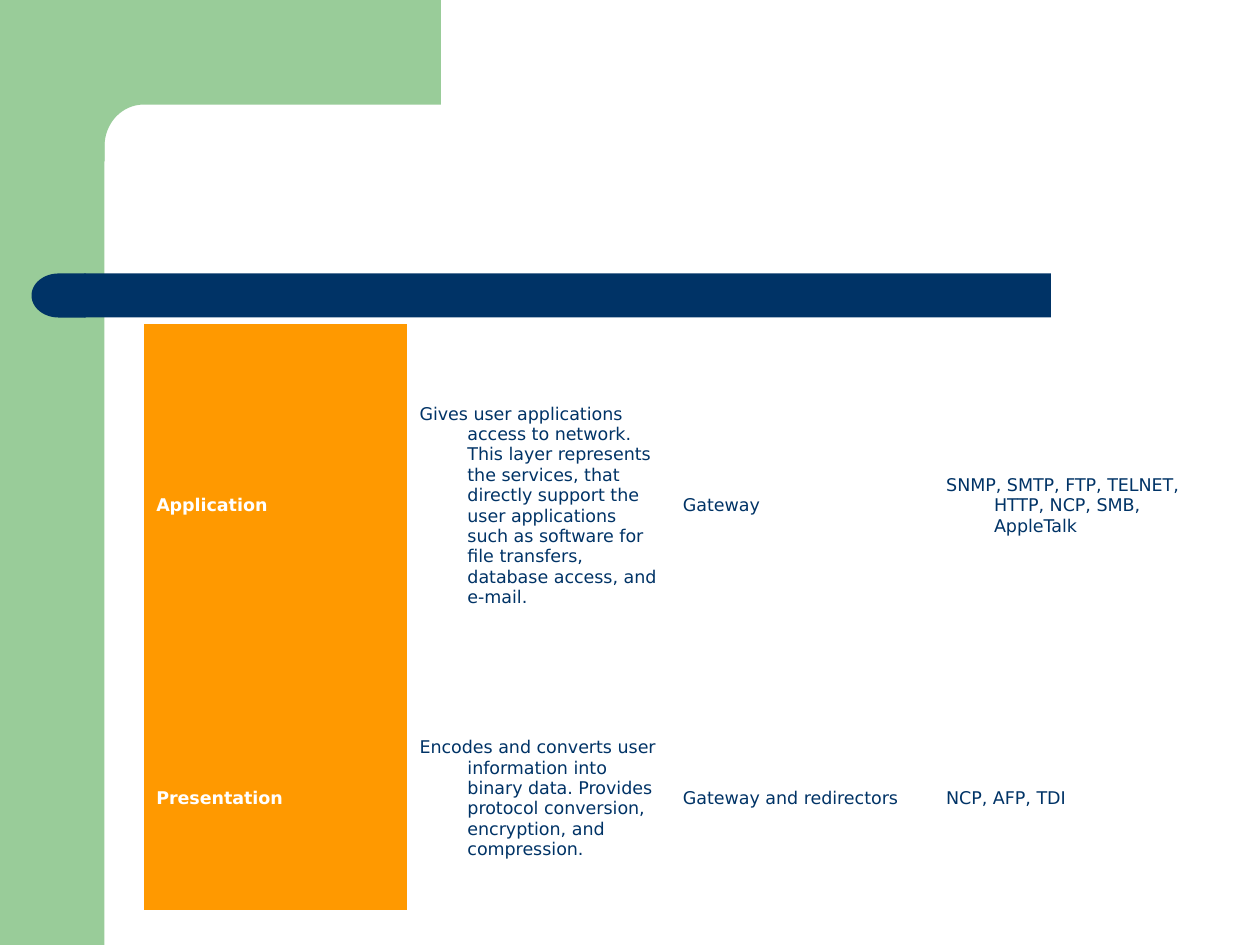
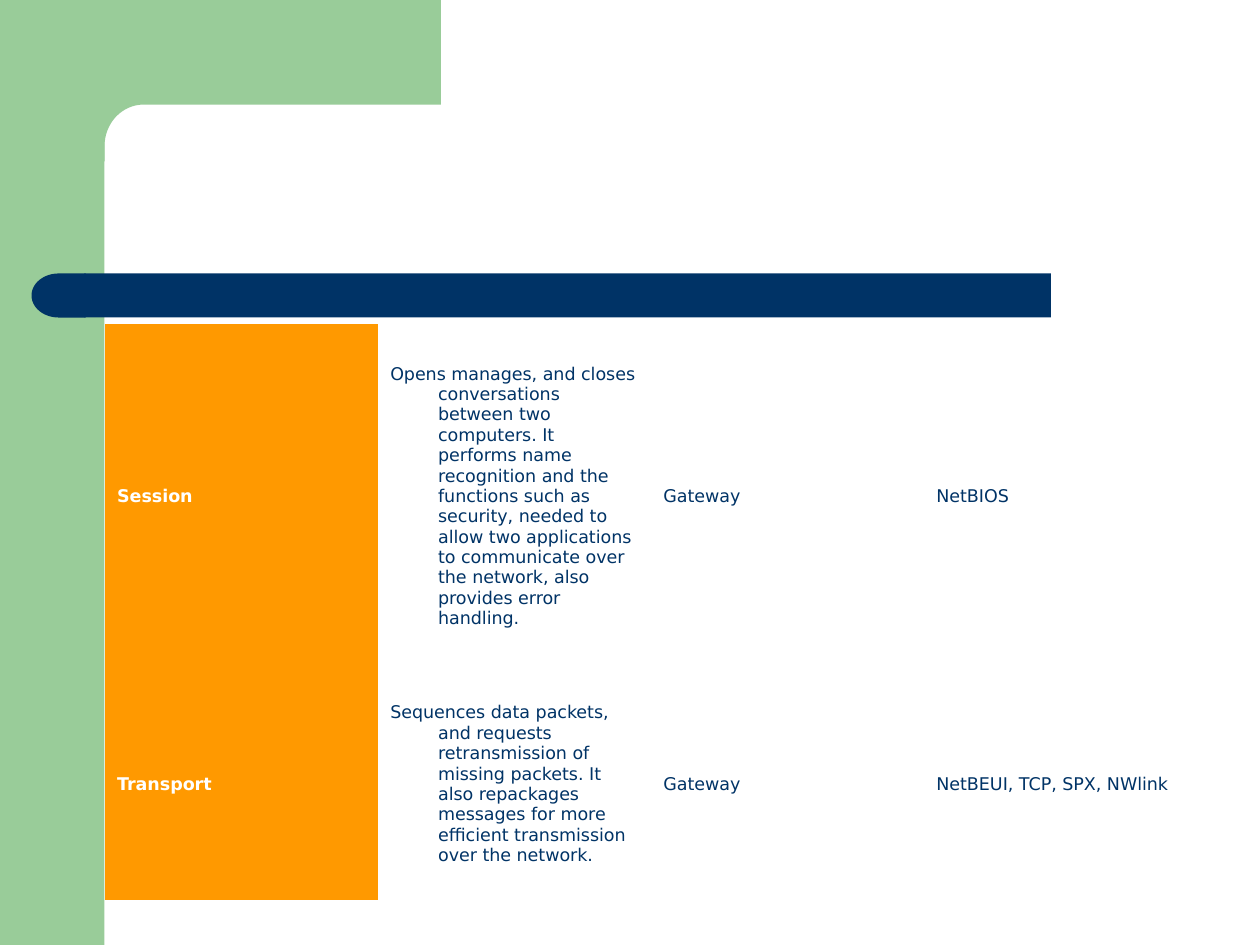
"""Build two slides of network layer tables inside a shared green and navy frame."""
import math
from dataclasses import dataclass

import pptx
import pptx.dml.color
import pptx.enum.shapes
import pptx.enum.text
import pptx.oxml.ns
import pptx.util
from pptx.util import Inches

COLORS = {"green": "99CC99", "navy": "003366", "orange": "FF9900", "white": "FFFFFF"}
FONT = "DejaVu Sans"
HANGING = Inches(0.38)
PLAIN_TABLE_STYLE = "{2D5ABB26-0587-4C30-8999-92F81FD0307C}"
SHAPES = pptx.enum.shapes.MSO_SHAPE


@dataclass(frozen=True)
class Band:
    kind: int
    left: float
    top: float
    width: float
    height: float
    color: str
    rotation: float = 0


@dataclass(frozen=True)
class Layer:
    name: str
    purpose: str
    devices: str
    protocols: str
    height: float


@dataclass(frozen=True)
class LayerTable:
    left: float
    width: float
    layers: tuple[Layer, ...]


SIDEBAR = Band(SHAPES.RECTANGLE, 0, 0, 0.83, 7.5, "green")
TITLE_BANDS = (
    Band(SHAPES.RECTANGLE, 0.67, 2.17, 7.67, 0.35, "navy"),
    Band(SHAPES.FLOWCHART_DELAY, 0.25, 2.17, 0.43, 0.35, "navy", 180),
)
LAYER_TABLES = (
    LayerTable(1.14, 8.36, (
        Layer(
            "Application",
            "Gives user applications access to network. This layer represents the "
            "services, that directly support the user applications such as software "
            "for file transfers, database access, and e-mail.",
            "Gateway",
            "SNMP, SMTP, FTP, TELNET, HTTP, NCP, SMB, AppleTalk",
            2.89,
        ),
        Layer(
            "Presentation",
            "Encodes and converts user information into binary data. Provides "
            "protocol conversion, encryption, and compression.",
            "Gateway and redirectors",
            "NCP, AFP, TDI",
            1.76,
        ),
    )),
    LayerTable(0.83, 8.67, (
        Layer(
            "Session",
            "Opens manages, and closes conversations between two computers. It "
            "performs name recognition and the functions such as security, needed to "
            "allow two applications to communicate over the network, also provides "
            "error handling.",
            "Gateway",
            "NetBIOS",
            2.74,
        ),
        Layer(
            "Transport",
            "Sequences data packets, and requests retransmission of missing packets. "
            "It also repackages messages for more efficient transmission over the "
            "network.",
            "Gateway",
            "NetBEUI, TCP, SPX, NWlink",
            1.83,
        ),
    )),
)


def rgb(color: str) -> pptx.dml.color.RGBColor:
    """Return the named palette colour."""
    return pptx.dml.color.RGBColor.from_string(COLORS[color])


def paint(shape, color: str) -> None:
    """Give a shape a flat fill without line or shadow."""
    shape.shadow.inherit = False
    shape.fill.solid()
    shape.fill.fore_color.rgb = rgb(color)
    shape.line.fill.background()


def draw_band(slide, band: Band) -> None:
    """Draw one preset shape of the frame."""
    bounds = map(Inches, (band.left, band.top, band.width, band.height))
    shape = slide.shapes.add_shape(band.kind, *bounds)
    shape.rotation = band.rotation
    paint(shape, band.color)


def draw_corner(slide) -> None:
    """Draw the top green block with its rounded inner corner."""
    radius_x, radius_y, steps = 0.31, 0.33, 16
    center_x, center_y = 0.83 + radius_x, 0.83 + radius_y
    angles = [math.pi / 2 * step / steps for step in range(steps + 1)]
    curve = [
        (center_x - radius_x * math.sin(angle), center_y - radius_y * math.cos(angle))
        for angle in angles
    ]
    outline = [(3.5, 0.83), *curve, (0.83, 1.28), (0.5, 1.28), (0.5, 0)]
    builder = slide.shapes.build_freeform(Inches(3.5), 0)
    builder.add_line_segments([(Inches(x), Inches(y)) for x, y in outline])
    paint(builder.convert_to_shape(), "green")


def write_text(frame, text: str, *, color: str, bold: bool = False, size: float = 10) -> None:
    """Write one paragraph with a hanging indent."""
    paragraph = frame.paragraphs[0]
    properties = paragraph._p.get_or_add_pPr()
    properties.set("marL", str(HANGING))
    properties.set("indent", str(-HANGING))
    run = paragraph.add_run()
    run.text = text
    run.font.name = FONT
    run.font.size = pptx.util.Pt(size)
    run.font.bold = bold
    run.font.color.rgb = rgb(color)


def draw_layers(slide, content: LayerTable) -> None:
    """Draw the table with one row for each network layer."""
    height = sum(layer.height for layer in content.layers)
    frame = slide.shapes.add_table(
        len(content.layers), 4,
        Inches(content.left), Inches(2.57), Inches(content.width), Inches(height),
    )
    table = frame.table
    table.first_row = table.horz_banding = False
    style = table._tbl.tblPr.find(pptx.oxml.ns.qn("a:tableStyleId"))
    style.text = PLAIN_TABLE_STYLE
    for row, layer in zip(table.rows, content.layers):
        row.height = Inches(layer.height)
        texts = (layer.name, layer.purpose, layer.devices, layer.protocols)
        for column, (cell, text) in enumerate(zip(row.cells, texts)):
            is_name = column == 0
            cell.vertical_anchor = pptx.enum.text.MSO_ANCHOR.MIDDLE
            if is_name:
                cell.fill.solid()
                cell.fill.fore_color.rgb = rgb("orange")
            else:
                cell.fill.background()
            write_text(cell.text_frame, text, color="white" if is_name else "navy", bold=is_name)


def draw_frame(slide) -> None:
    """Draw the background and bands that every slide shares."""
    slide.background.fill.solid()
    slide.background.fill.fore_color.rgb = rgb("white")
    draw_band(slide, SIDEBAR)
    draw_corner(slide)
    for band in TITLE_BANDS:
        draw_band(slide, band)


def main() -> None:
    """Build and save the presentation."""
    presentation = pptx.Presentation()
    presentation.slide_width, presentation.slide_height = Inches(10), Inches(7.5)
    for content in LAYER_TABLES:
        slide = presentation.slides.add_slide(presentation.slide_layouts[6])
        draw_frame(slide)
        draw_layers(slide, content)
    presentation.save("out.pptx")


if __name__ == "__main__":
    main()
